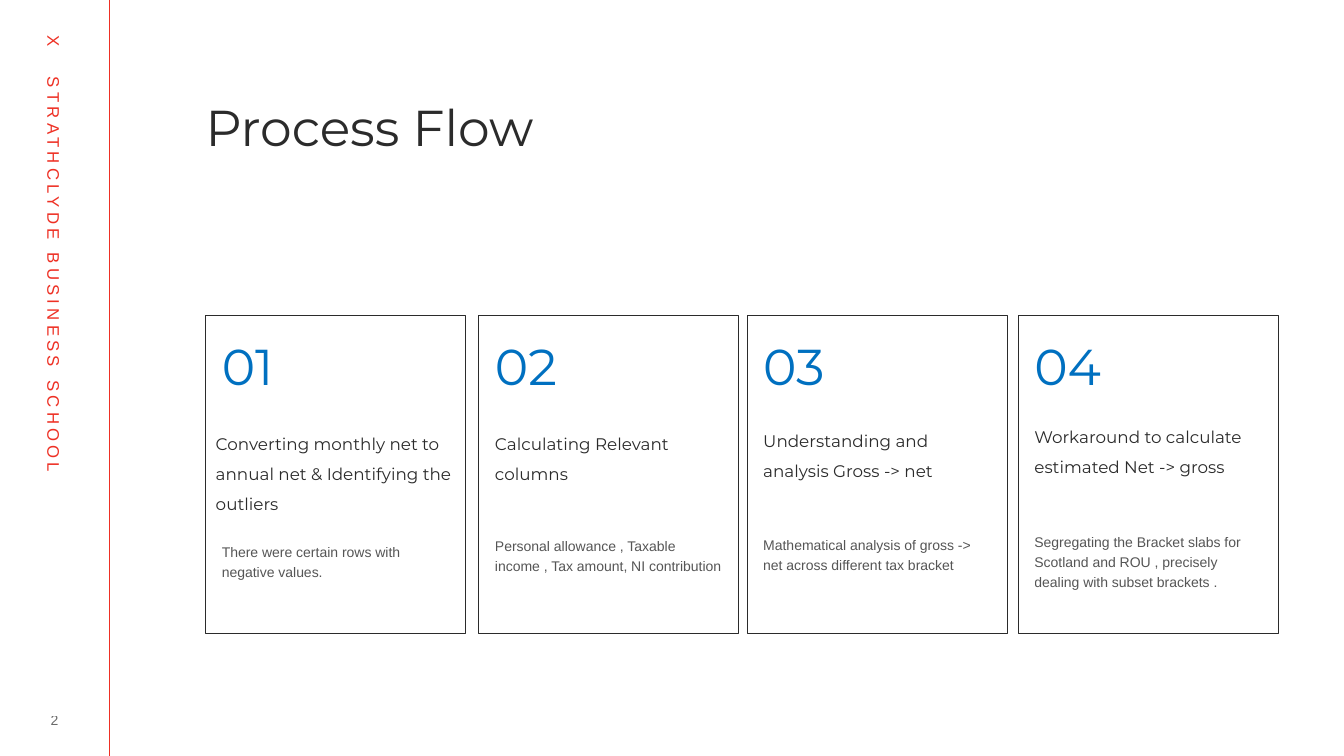
from dataclasses import dataclass

import pptx
import pptx.dml.color
import pptx.enum.shapes
import pptx.enum.text
import pptx.oxml.ns
import pptx.shapes.autoshape
import pptx.slide
import pptx.util
from lxml import etree

Inches = pptx.util.Inches
Align = pptx.enum.text.PP_ALIGN
Anchor = pptx.enum.text.MSO_ANCHOR
qn = pptx.oxml.ns.qn

COLOURS = {"ink": "2B2B2B", "red": "EE3024", "blue": "0070C0"}
HEADING_FONT, BODY_FONT = "Montserrat", "Arial"


@dataclass(frozen=True)
class Style:
    font: str
    size: float
    colour: str
    line_spacing: float = 1.0
    opacity: int = 100
    tracking: float = 0


@dataclass(frozen=True)
class Step:
    number: str
    heading: str
    detail: str
    left: float
    text_left: float
    heading_left: float
    heading_top: float
    heading_width: float
    detail_top: float


TITLE = Style(HEADING_FONT, 36, "ink", 0.8)
NUMBER = Style(HEADING_FONT, 36, "blue", 0.7)
HEADING = Style(HEADING_FONT, 12, "ink", 1.5)
DETAIL = Style(BODY_FONT, 10, "ink", 1.2, 80)
PAGE = Style(BODY_FONT, 10, "ink", opacity=70)
SCHOOL = Style(BODY_FONT, 12, "red", tracking=3)

CARD_TOP, CARD_WIDTH, CARD_HEIGHT = 3.13, 2.58, 3.15
NUMBER_TOP, TEXT_WIDTH = 3.44, 2.26

STEPS = [
    Step("01", "Converting monthly net to annual net & Identifying the outliers",
         "There were certain rows with negative values.",
         2.04, 2.2, 2.14, 4.15, 2.4, 5.31),
    Step("02", "Calculating Relevant columns",
         "Personal allowance , Taxable income , Tax amount, NI contribution",
         4.74, 4.91, 4.91, 4.15, TEXT_WIDTH, 5.25),
    Step("03", "Understanding and analysis Gross -> net",
         "Mathematical analysis of gross -> net across different tax bracket",
         7.41, 7.57, 7.57, 4.12, TEXT_WIDTH, 5.24),
    Step("04", "Workaround to calculate estimated Net -> gross",
         "Segregating the Bracket slabs for Scotland and ROU , "
         "precisely dealing with subset brackets .",
         10.1, 10.26, 10.26, 4.08, TEXT_WIDTH, 5.21),
]


def rgb(name: str) -> pptx.dml.color.RGBColor:
    return pptx.dml.color.RGBColor.from_string(COLOURS[name])


def add_text(slide: pptx.slide.Slide, text: str, style: Style,
             left: float, top: float, width: float, height: float,
             insets: tuple[float, float, float, float] = (0, 0.05, 0, 0.05),
             align: Align = Align.LEFT,
             anchor: Anchor = Anchor.TOP) -> pptx.shapes.autoshape.Shape:
    """Place one styled run; insets are left, top, right, bottom."""
    box = slide.shapes.add_textbox(Inches(left), Inches(top), Inches(width), Inches(height))
    frame = box.text_frame
    frame.word_wrap = True
    frame.vertical_anchor = anchor
    (frame.margin_left, frame.margin_top,
     frame.margin_right, frame.margin_bottom) = map(Inches, insets)
    paragraph = frame.paragraphs[0]
    paragraph.alignment = align
    paragraph.line_spacing = style.line_spacing
    run = paragraph.add_run()
    run.text = text
    run.font.name = style.font
    run.font.size = pptx.util.Pt(style.size)
    run.font.color.rgb = rgb(style.colour)
    properties = run.font._element
    if style.opacity < 100:
        colour = properties.find(".//" + qn("a:srgbClr"))
        etree.SubElement(colour, qn("a:alpha"), val=str(style.opacity * 1000))
    if style.tracking:
        properties.set("spc", str(int(style.tracking * 100)))
    return box


def add_sidebar(slide: pptx.slide.Slide) -> None:
    divider = slide.shapes.add_connector(
        pptx.enum.shapes.MSO_CONNECTOR.STRAIGHT,
        Inches(1.08), Inches(0), Inches(1.08), Inches(7.5))
    divider.line.color.rgb = rgb("red")
    divider.line.width = pptx.util.Pt(0.5)
    etree.SubElement(divider._element.spPr, qn("a:effectLst"))

    school = add_text(slide, "X\tSTRATHCLYDE BUSINESS SCHOOL", SCHOOL,
                      -2.3, 2.94, 5.67, 0.3, insets=(0.1, 0.05, 0.1, 0.05))
    school.rotation = 90
    tabs = etree.SubElement(
        school.text_frame.paragraphs[0]._p.get_or_add_pPr(), qn("a:tabLst"))
    etree.SubElement(tabs, qn("a:tab"), pos=str(Inches(0.41)), algn="l")

    add_text(slide, "2", PAGE, 0.26, 7.02, 0.56, 0.25,
             insets=(0, 0, 0, 0), align=Align.CENTER, anchor=Anchor.MIDDLE)


def add_step(slide: pptx.slide.Slide, step: Step) -> None:
    card = slide.shapes.add_shape(
        pptx.enum.shapes.MSO_SHAPE.RECTANGLE, Inches(step.left), Inches(CARD_TOP),
        Inches(CARD_WIDTH), Inches(CARD_HEIGHT))
    card.shadow.inherit = False
    card.fill.background()
    card.line.color.rgb = rgb("ink")
    card.line.width = pptx.util.Pt(0.5)
    add_text(slide, step.number, NUMBER, step.text_left, NUMBER_TOP, TEXT_WIDTH, 0.57)
    add_text(slide, step.heading, HEADING,
             step.heading_left, step.heading_top, step.heading_width, 0.67)
    add_text(slide, step.detail, DETAIL, step.text_left, step.detail_top, TEXT_WIDTH, 0.49)


def main() -> None:
    deck = pptx.Presentation()
    deck.slide_width, deck.slide_height = Inches(13.33), Inches(7.5)
    slide = deck.slides.add_slide(deck.slide_layouts[6])

    # Sidebar and title
    add_sidebar(slide)
    add_text(slide, "Process Flow", TITLE, 2.04, 0.86, 6.32, 0.77, insets=(0, 0.21, 0, 0))

    # Process steps
    for step in STEPS:
        add_step(slide, step)

    deck.save("out.pptx")


if __name__ == "__main__":
    main()
